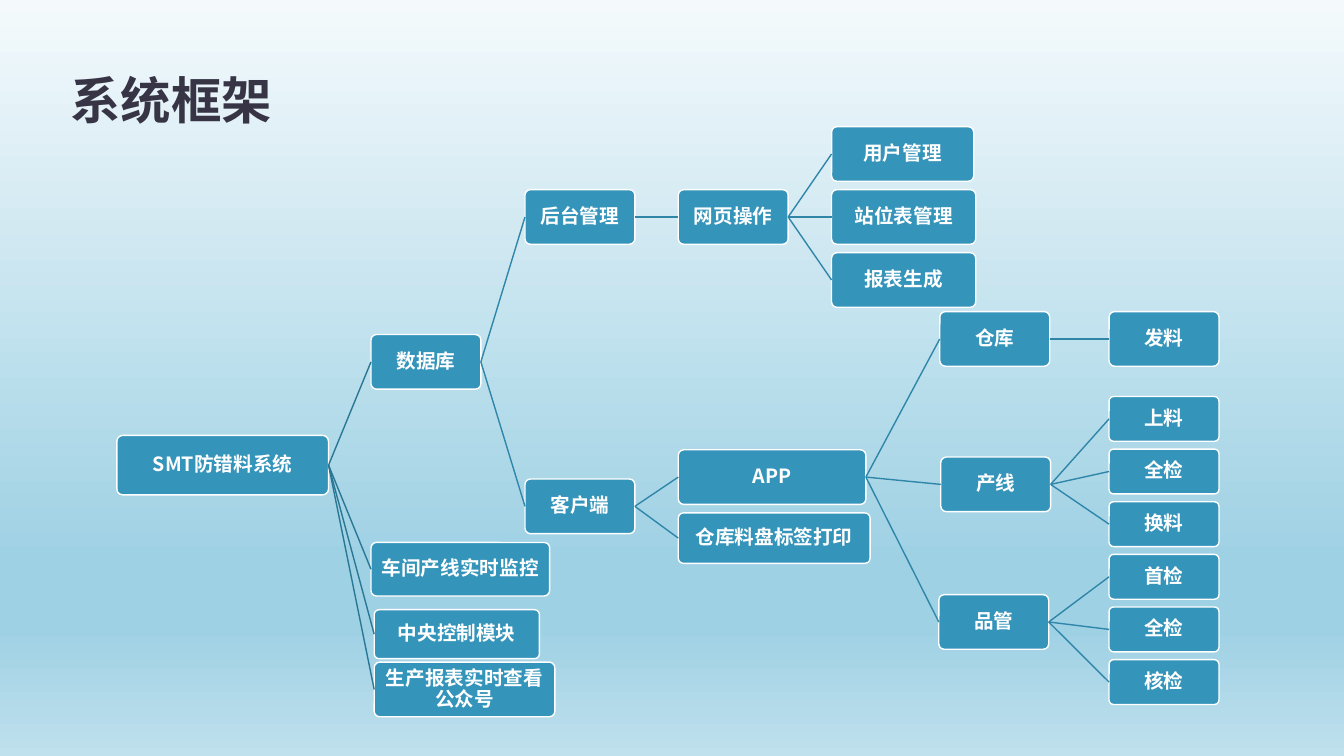
from dataclasses import dataclass, field

from lxml.etree import SubElement
from pptx import Presentation
from pptx.dml.color import RGBColor
from pptx.enum.shapes import MSO_CONNECTOR, MSO_SHAPE
from pptx.enum.text import MSO_ANCHOR, PP_ALIGN
from pptx.oxml.ns import qn
from pptx.util import Pt

FONT = "Noto Sans CJK SC"
WHITE = RGBColor(0xFF, 0xFF, 0xFF)
INK = RGBColor(0x37, 0x35, 0x45)
NODE_BLUE = RGBColor(0x34, 0x94, 0xBA)
TRUNK_BLUE = RGBColor(0x2A, 0x77, 0x95)
BRANCH_BLUE = RGBColor(0x2F, 0x86, 0xA9)
SKY = [
    (0, RGBColor(0xF4, 0xFA, 0xFC)),
    (74, RGBColor(0x9F, 0xD1, 0xE4)),
    (83, RGBColor(0x9F, 0xD1, 0xE4)),
    (100, RGBColor(0xBF, 0xE0, 0xED)),
]

MODULE_X, SIDE_X, PART_X, TOOL_X, PAGE_X, TASK_X = 265, 267.3, 375, 484.5, 594, 792.2
NODE_WIDTH, NODE_HEIGHT = 78.5, 39
TASK_TOP, TASK_STEP, TASK_HEIGHT = 283.2, 37.6, 32


@dataclass
class Node:
    label: str
    left: float
    top: float
    width: float = NODE_WIDTH
    height: float = NODE_HEIGHT
    children: list = field(default_factory=list)


def tasks(first_row, labels):
    return [
        Node(label, TASK_X, TASK_TOP + TASK_STEP * row, height=TASK_HEIGHT)
        for row, label in enumerate(labels, first_row)
    ]


def system_tree():
    web = Node("网页操作", TOOL_X, 135.5, children=[
        Node("用户管理", PAGE_X, 90.5, 101.5),
        Node("站位表管理", PAGE_X, 135.5, 103),
        Node("报表生成", PAGE_X, 180.5, 103),
    ])
    app = Node("APP", TOOL_X, 321.3, 134, children=[
        Node("仓库", 671.3, 222.6, children=[Node("发料", TASK_X, 222.6)]),
        Node("产线", 672, 326.5, children=tasks(0, ["上料", "全检", "换料"])),
        Node("品管", 670.6, 424.8, children=tasks(3, ["首检", "全检", "核检"])),
    ])
    printing = Node("仓库料盘标签打印", TOOL_X, 366.4, 137, 36)
    database = Node("数据库", MODULE_X, 239, children=[
        Node("后台管理", PART_X, 135.5, children=[web]),
        Node("客户端", PART_X, 342.2, children=[app, printing]),
    ])
    return Node("SMT防错料系统", 83.5, 311, 151.2, 42.5, [
        database,
        Node("车间产线实时监控", MODULE_X, 387.5, 127.6, 38.2),
        Node("中央控制模块", SIDE_X, 435.5, 118, 35),
        Node("生产报表实时查看公众号", SIDE_X, 473, 129, 39),
    ])


def paint_background(slide):
    fill = slide.background.fill
    fill.gradient()
    fill.gradient_angle = 270
    stops = slide.element.find(".//" + qn("a:gsLst"))
    for stop in list(stops):
        stops.remove(stop)
    for percent, color in SKY:
        stop = SubElement(stops, qn("a:gs"), pos=str(percent * 1000))
        SubElement(stop, qn("a:srgbClr"), val=str(color))


def write_text(shape, text, size, color, align):
    shape.text_frame.word_wrap = True
    paragraph = shape.text_frame.paragraphs[0]
    paragraph.text = text
    paragraph.alignment = align
    paragraph.line_spacing = 0.9
    paragraph.font.size = Pt(size)
    paragraph.font.bold = True
    paragraph.font.color.rgb = color
    paragraph.font.name = FONT
    for properties in shape.element.iter(qn("a:defRPr")):
        SubElement(properties, qn("a:ea"), typeface=FONT)


def add_title(slide, text):
    title = slide.shapes.add_textbox(Pt(43.2), Pt(12.2), Pt(864), Pt(84.2))
    title.text_frame.vertical_anchor = MSO_ANCHOR.BOTTOM
    write_text(title, text, 36, INK, PP_ALIGN.LEFT)


def add_box(slide, node):
    box = slide.shapes.add_shape(
        MSO_SHAPE.ROUNDED_RECTANGLE,
        Pt(node.left), Pt(node.top), Pt(node.width), Pt(node.height),
    )
    box.adjustments[0] = 0.1
    box.shadow.inherit = False
    box.fill.solid()
    box.fill.fore_color.rgb = NODE_BLUE
    box.line.color.rgb = WHITE
    box.line.width = Pt(1)
    frame = box.text_frame
    frame.vertical_anchor = MSO_ANCHOR.MIDDLE
    frame.margin_left = frame.margin_right = Pt(1)
    frame.margin_top = frame.margin_bottom = Pt(1)
    write_text(box, node.label, 14, WHITE, PP_ALIGN.CENTER)
    return box


def add_link(slide, parent_box, child_box, color):
    link = slide.shapes.add_connector(MSO_CONNECTOR.STRAIGHT, 0, 0, 0, 0)
    link.begin_connect(parent_box, 3)
    link.end_connect(child_box, 1)
    link.line.color.rgb = color
    link.line.width = Pt(1)
    SubElement(link.element.spPr, qn("a:effectLst"))


def add_branch(slide, node, link_color):
    box = add_box(slide, node)
    for child in node.children:
        child_box = add_branch(slide, child, BRANCH_BLUE)
        add_link(slide, box, child_box, link_color)
    return box


def main():
    presentation = Presentation()
    presentation.slide_width = Pt(960)
    presentation.slide_height = Pt(540)
    slide = presentation.slides.add_slide(presentation.slide_layouts[6])
    paint_background(slide)
    add_title(slide, "系统框架")
    add_branch(slide, system_tree(), TRUNK_BLUE)
    presentation.save("out.pptx")


if __name__ == "__main__":
    main()
